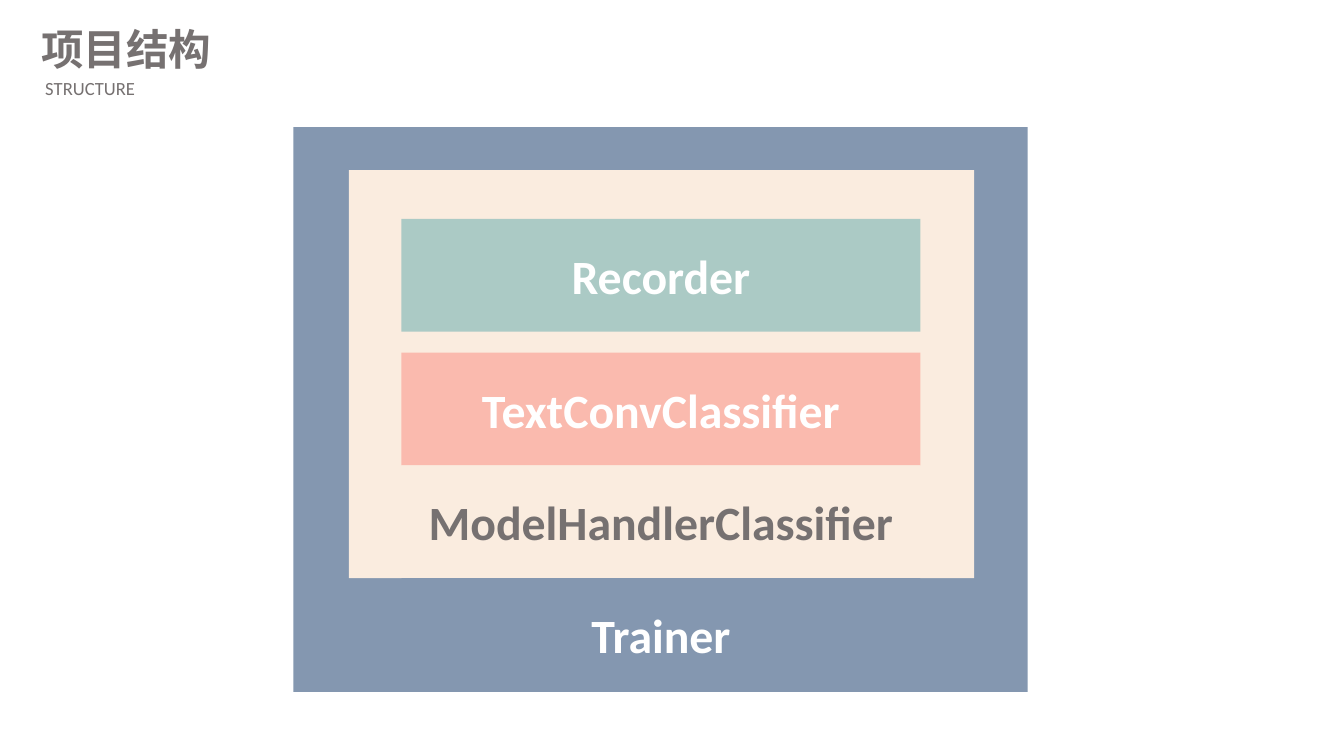
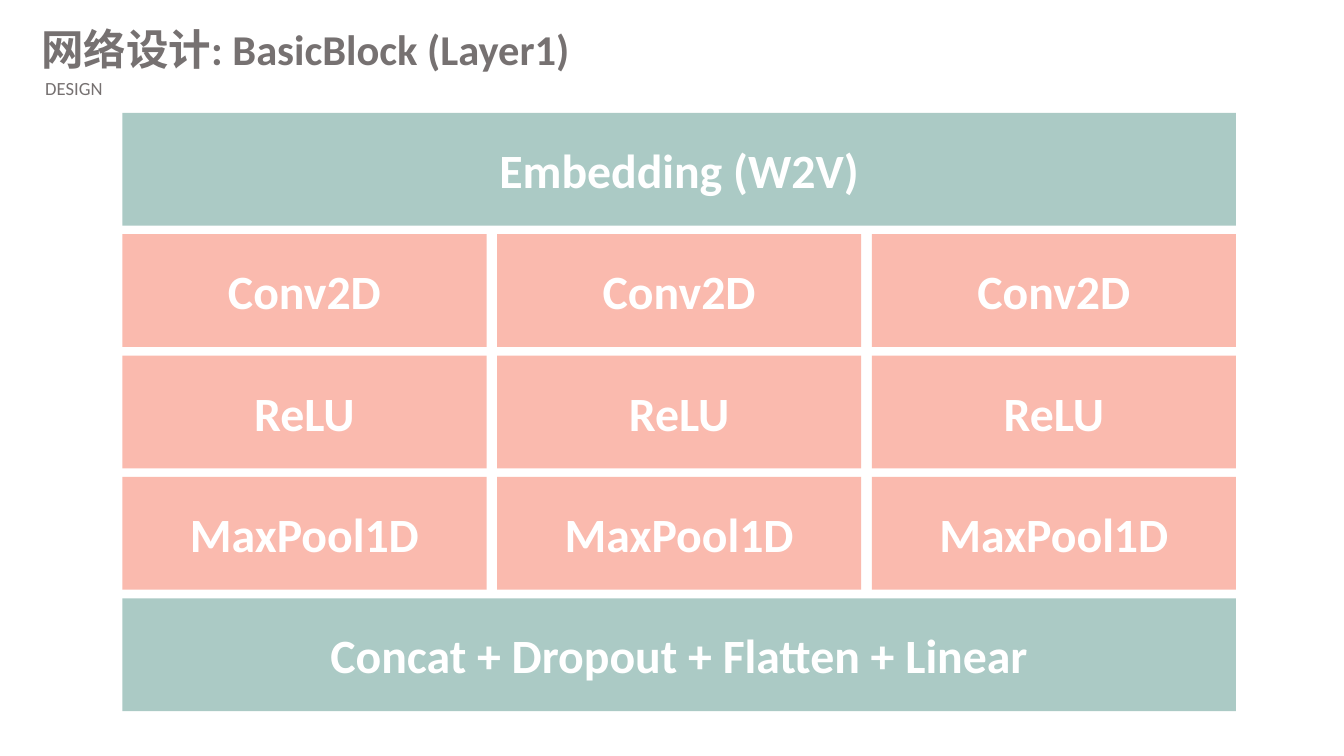
from pptx import Presentation
from pptx.dml.color import RGBColor
from pptx.enum import shapes, text
from pptx.util import Inches, Pt

COLORS = {
    "blue": "8497B0",
    "cream": "FAECDF",
    "pink": "FABAAE",
    "green": "ABCAC5",
    "gray": "767171",
    "white": "FFFFFF",
}
FONT = "Calibri"
BAR_HEIGHT = 1.18

presentation = Presentation()
presentation.slide_width = Inches(14.06)
presentation.slide_height = Inches(7.91)


def write(shape, words, size, color="white", bold=True, align=text.PP_ALIGN.CENTER):
    frame = shape.text_frame
    frame.word_wrap = True
    frame.vertical_anchor = text.MSO_ANCHOR.MIDDLE
    paragraph = frame.paragraphs[0]
    paragraph.alignment = align
    run = paragraph.add_run()
    run.text = words
    run.font.name = FONT
    run.font.size = Pt(size)
    run.font.bold = bold
    run.font.color.rgb = RGBColor.from_string(COLORS[color])


def add_block(slide, left, top, width, height, fill, words="", color="white"):
    shape = slide.shapes.add_shape(
        shapes.MSO_SHAPE.RECTANGLE, Inches(left), Inches(top), Inches(width), Inches(height))
    shape.shadow.inherit = False
    shape.fill.solid()
    shape.fill.fore_color.rgb = RGBColor.from_string(COLORS[fill])
    shape.line.fill.background()
    if words:
        write(shape, words, 36, color)


slides = []
for title, subtitle, title_width in [
    ("项目结构", " STRUCTURE", 4.32),
    ("网络设计: BasicBlock (Layer1)", " DESIGN", 10.54),
]:
    slide = presentation.slides.add_slide(presentation.slide_layouts[6])
    slides.append(slide)
    for words, top, width, height, size, bold in [
        (title, 0.24, title_width, 0.54, 32, True),
        (subtitle, 0.8, 3.07, 0.24, 14, False),
    ]:
        heading = slide.shapes.add_textbox(Inches(0.43), Inches(top), Inches(width), Inches(height))
        frame = heading.text_frame
        frame.margin_left = frame.margin_right = frame.margin_top = frame.margin_bottom = 0
        write(heading, words, size, "gray", bold, text.PP_ALIGN.LEFT)

structure, design = slides

add_block(structure, 3.07, 1.33, 7.68, 5.91, "blue")
add_block(structure, 3.65, 1.78, 6.54, 4.27, "cream")
for words, top, fill, color in [
    ("Recorder", 2.29, "green", "white"),
    ("TextConvClassifier", 3.69, "pink", "white"),
    ("ModelHandlerClassifier", 4.87, "cream", "gray"),
    ("Trainer", 6.05, "blue", "white"),
]:
    add_block(structure, 4.2, top, 5.43, BAR_HEIGHT, fill, words, color)

grid_left, grid_top, grid_width = 1.28, 1.18, 11.65
column_gap, row_step = 0.11, 1.27
layers = [
    ("Embedding (W2V)", 1, "green"),
    ("Conv2D", 3, "pink"),
    ("ReLU", 3, "pink"),
    ("MaxPool1D", 3, "pink"),
    ("Concat + Dropout + Flatten + Linear", 1, "green"),
]
for row, (words, columns, fill) in enumerate(layers):
    width = (grid_width - (columns - 1) * column_gap) / columns
    for column in range(columns):
        left = grid_left + column * (width + column_gap)
        add_block(design, left, grid_top + row * row_step, width, BAR_HEIGHT, fill, words)

presentation.save("out.pptx")
